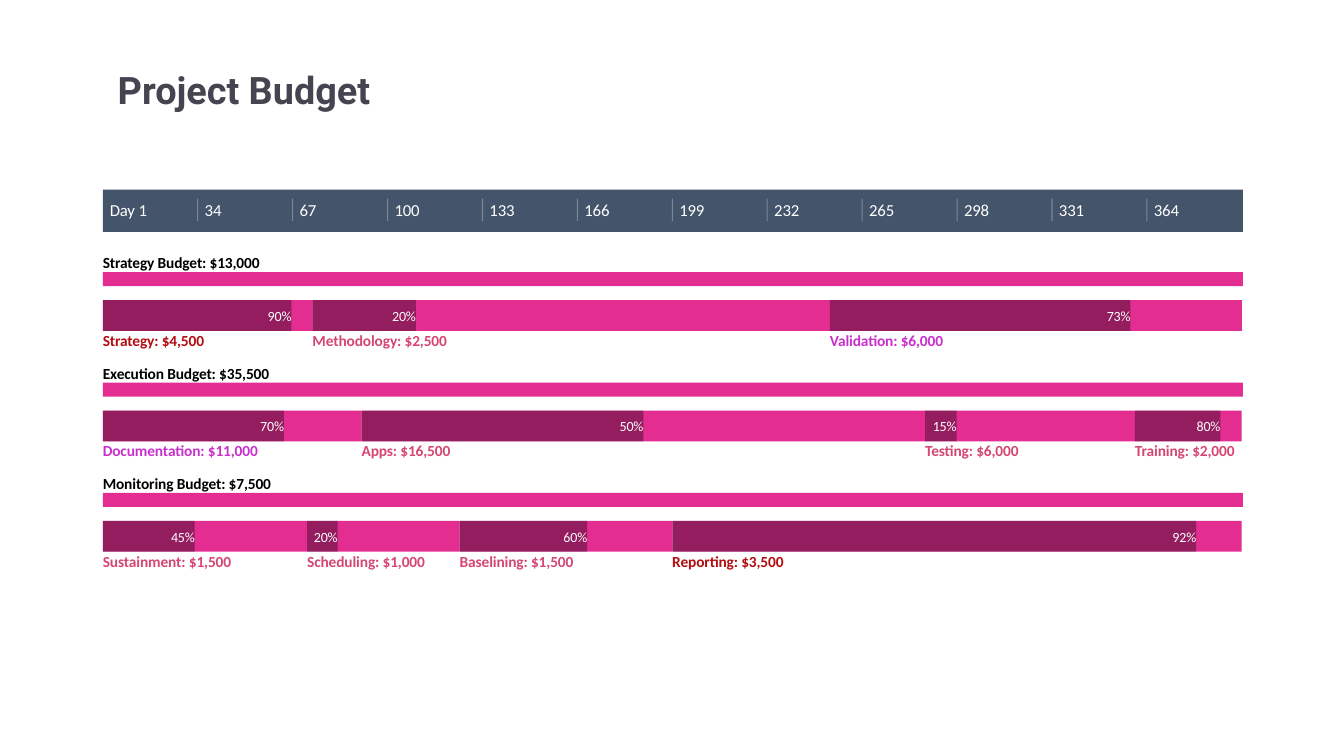
import pptx
import pptx.dml.color
import pptx.enum.shapes
import pptx.enum.text
import pptx.oxml
import pptx.oxml.ns
import pptx.util

Pt = pptx.util.Pt
RGBColor = pptx.dml.color.RGBColor
Align = pptx.enum.text.PP_ALIGN
Anchor = pptx.enum.text.MSO_ANCHOR

WHITE = RGBColor(0xFF, 0xFF, 0xFF)
BLACK = RGBColor(0, 0, 0)
SLATE = RGBColor(0x44, 0x54, 0x6A)
PINK = RGBColor(0xE3, 0x2D, 0x91)
ROSE = RGBColor(0xD5, 0x47, 0x73)
RED = RGBColor(0xB2, 0x0E, 0x12)
VIOLET = RGBColor(0xC8, 0x30, 0xCC)
TITLE_GREY = RGBColor(0x45, 0x45, 0x51)

TITLE = "Project Budget"
DAYS = ["Day 1", "34", "67", "100", "133", "166", "199", "232", "265", "298", "331", "364"]

# Each task: text, label colour, start, label width, share done
PHASES = [
    ("Strategy Budget: $13,000", 116, [
        ("Strategy: $4,500", RED, 73.44, 75, 90),
        ("Methodology: $2,500", ROSE, 223.2, 99, 20),
        ("Validation: $6,000", VIOLET, 592.8, 84, 73),
    ]),
    ("Execution Budget: $35,500", 123, [
        ("Documentation: $11,000", VIOLET, 73.44, 114, 70),
        ("Apps: $16,500", ROSE, 258.3, 66, 50),
        ("Testing: $6,000", ROSE, 660.8, 70, 15),
        ("Training: $2,000", ROSE, 810.7, 74, 80),
    ]),
    ("Monitoring Budget: $7,500", 124, [
        ("Sustainment: $1,500", ROSE, 73.44, 95, 45),
        ("Scheduling: $1,000", ROSE, 219.4, 87, 20),
        ("Baselining: $1,500", ROSE, 328.4, 84, 60),
        ("Reporting: $3,500", RED, 480.2, 83, 92),
    ]),
]

LEFT, WIDTH = 73.44, 814.3
TASKS_END = 887
DAY_STEP = 67.8
PHASE_TOP, PHASE_STEP = 194.4, 78.85
PERCENT_WIDTH = 19

presentation = pptx.Presentation()
presentation.slide_width = Pt(960)
presentation.slide_height = Pt(540)
slide = presentation.slides.add_slide(presentation.slide_layouts[6])


def set_alpha(fill_owner, percent):
    color = fill_owner.find(".//" + pptx.oxml.ns.qn("a:srgbClr"))
    color.append(pptx.oxml.parse_xml(
        f'<a:alpha {pptx.oxml.ns.nsdecls("a")} val="{percent * 1000}"/>'))


def add_bar(left, top, width, height, color, alpha=None):
    shape = slide.shapes.add_shape(
        pptx.enum.shapes.MSO_SHAPE.RECTANGLE, Pt(left), Pt(top), Pt(width), Pt(height))
    shape.shadow.inherit = False
    shape.fill.solid()
    shape.fill.fore_color.rgb = color
    shape.line.fill.background()
    if alpha is not None:
        set_alpha(shape.fill._xPr.find(pptx.oxml.ns.qn("a:solidFill")), alpha)


def add_text(text, left, top, width, height, size=11, color=BLACK, bold=False,
             font="Calibri", align=Align.LEFT, anchor=Anchor.MIDDLE,
             margins=(0, 0), spacing=-10):
    box = slide.shapes.add_textbox(Pt(left), Pt(top), Pt(width), Pt(height))
    frame = box.text_frame
    frame.word_wrap = True
    frame.vertical_anchor = anchor
    frame.margin_left = frame.margin_right = Pt(margins[0])
    frame.margin_top = frame.margin_bottom = Pt(margins[1])
    paragraph = frame.paragraphs[0]
    paragraph.alignment = align
    run = paragraph.add_run()
    run.text = text
    run.font.name = font
    run.font.size = Pt(size)
    run.font.bold = bold
    run.font.color.rgb = color
    run.font._element.set("spc", str(spacing))


def add_divider(x, top, bottom):
    line = slide.shapes.add_connector(
        pptx.enum.shapes.MSO_CONNECTOR.STRAIGHT, Pt(x), Pt(top), Pt(x), Pt(bottom))
    line.line.color.rgb = WHITE
    line.line.width = Pt(0.75)
    properties = line._element.spPr
    set_alpha(properties, 30)
    properties.append(pptx.oxml.parse_xml(f'<a:effectLst {pptx.oxml.ns.nsdecls("a")}/>'))


add_bar(LEFT, 135.4, WIDTH, 30.2, SLATE)
for index, day in enumerate(DAYS):
    x = LEFT + index * DAY_STEP
    add_text(day, x + 5, 142.6, 30, 14.4, size=12, color=WHITE)
    if index:
        add_divider(x, 141.8, 157.7)

for index, (heading, heading_width, tasks) in enumerate(PHASES):
    top = PHASE_TOP + index * PHASE_STEP
    bar_top = top + 20
    add_bar(LEFT, top, WIDTH, 10.1, PINK)
    add_text(heading, LEFT, top - 13.5, heading_width, 13.5, bold=True)
    ends = [task[2] for task in tasks[1:]] + [TASKS_END]
    for (label, color, start, label_width, percent), end in zip(tasks, ends):
        done = (end - start) * percent / 100
        add_bar(start, bar_top, end - start, 22, PINK)
        add_bar(start, bar_top, done, 22, BLACK, alpha=35)
        add_text(label, start, top + 41.8, label_width, 13.5, color=color, bold=True)
        add_text(f"{percent}%", start + done - PERCENT_WIDTH, top + 25, PERCENT_WIDTH, 12.2,
                 size=10, color=WHITE, align=Align.RIGHT)

add_text(TITLE, 77, 28.1, 375.8, 55.4, size=27, color=TITLE_GREY, bold=True,
         font="Roboto", anchor=Anchor.BOTTOM, margins=(7.2, 3.6), spacing=0)

presentation.save("out.pptx")
